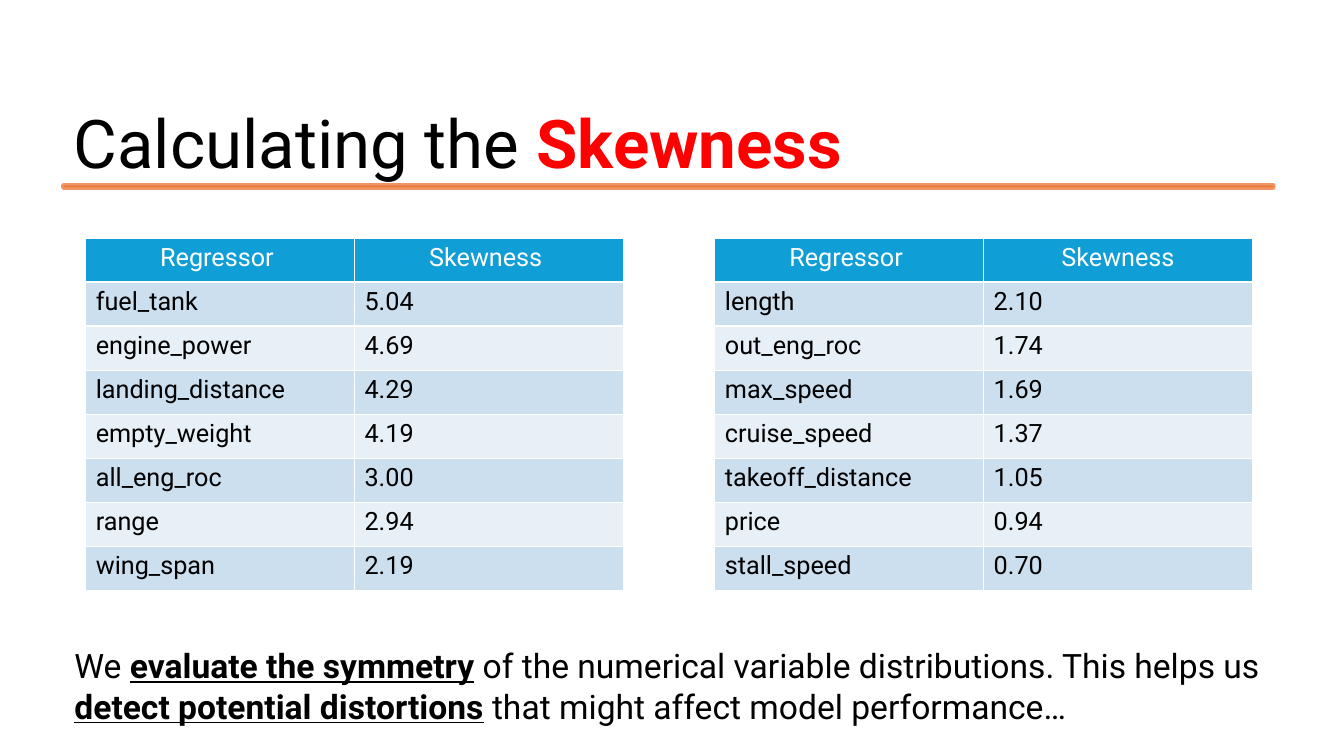
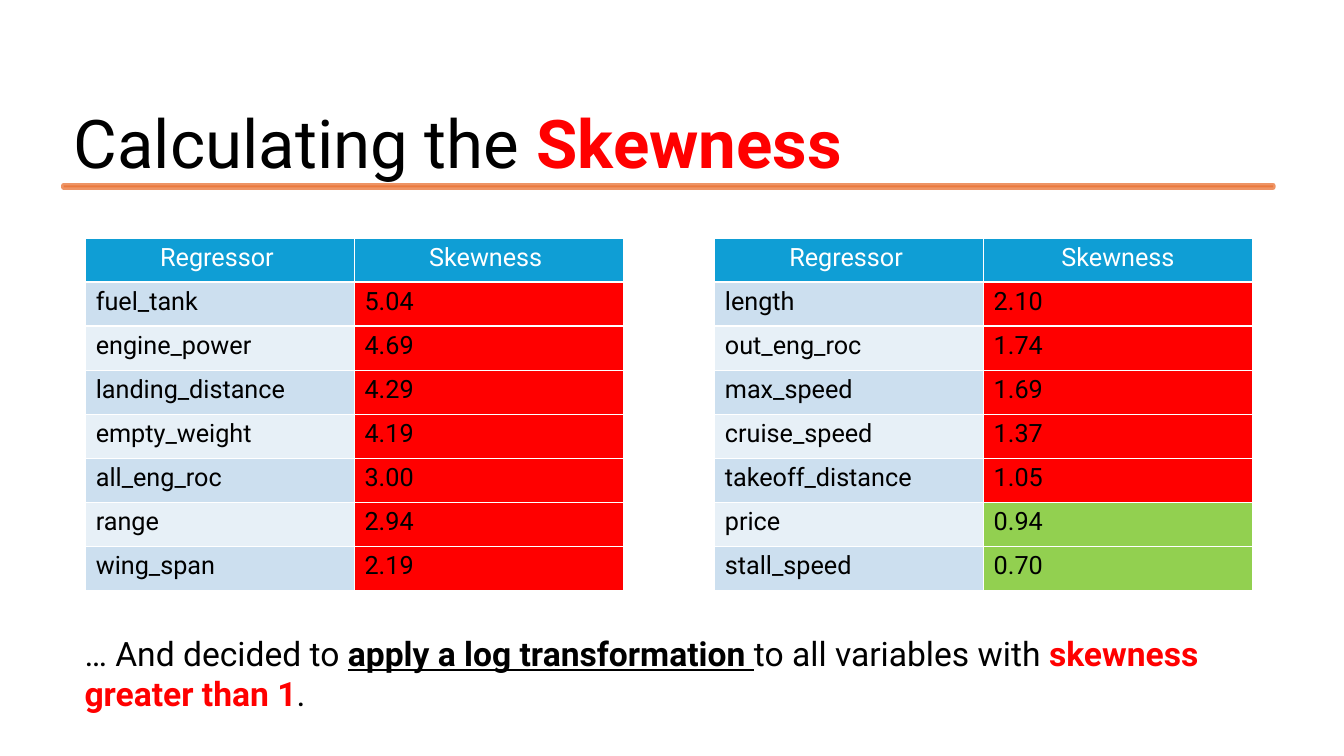
"""Build two slides on the skewness of the regressors."""
from dataclasses import dataclass

from lxml import etree
from pptx import Presentation
from pptx.dml.color import RGBColor
from pptx.enum.shapes import MSO_SHAPE
from pptx.enum.text import MSO_ANCHOR, MSO_AUTO_SIZE, PP_ALIGN
from pptx.oxml.ns import qn
from pptx.util import Inches, Pt

RECT = MSO_SHAPE.RECTANGLE
TOP = MSO_ANCHOR.TOP
FIXED = MSO_AUTO_SIZE.NONE
LEFT, CENTER = PP_ALIGN.LEFT, PP_ALIGN.CENTER


@dataclass(frozen=True)
class Theme:
    font: str = "Roboto"
    black: str = "000000"
    white: str = "FFFFFF"
    red: str = "FF0000"
    green: str = "92D050"
    orange: str = "E97132"
    head: str = "0F9ED5"
    bands: tuple = ("CCDFEF", "E7F0F7")
    title: int = 48
    body: int = 24
    cell: int = 18
    rule: float = 3.5
    alpha: str = "75000"


theme = Theme()
deck = Presentation()
deck.slide_width, deck.slide_height = Inches(13.33), Inches(7.5)
col, row = deck.slide_width / 100, deck.slide_height / 100


def area(x, y, w, h):
    """Turn percentages of the slide into lengths."""
    return int(x * col), int(y * row), int(w * col), int(h * row)


def write(frame, parts, size, color=theme.black, align=LEFT):
    """Fill a frame with one paragraph of (text, style, color) parts."""
    frame.word_wrap = True
    line = frame.paragraphs[0]
    line.alignment = align
    font = line.font
    font.name, font.size, font.bold = theme.font, Pt(size), False
    font.color.rgb = RGBColor.from_string(color)
    for text, style, tint in parts:
        run = line.add_run()
        run.text = text
        if style:
            run.font.bold = "b" in style
            run.font.underline = "u" in style
        if tint:
            run.font.color.rgb = RGBColor.from_string(tint)


tables = [
    (6.38, [
        ("Regressor ", "Skewness "),
        ("fuel_tank", "5.04"),
        ("engine_power", "4.69"),
        ("landing_distance", "4.29"),
        ("empty_weight", "4.19"),
        ("all_eng_roc", "3.00"),
        ("range", "2.94"),
        ("wing_span", "2.19"),
    ]),
    (53.19, [
        ("Regressor ", "Skewness"),
        ("length", "2.10"),
        ("out_eng_roc", "1.74"),
        ("max_speed", "1.69"),
        ("cruise_speed", "1.37"),
        ("takeoff_distance", "1.05"),
        ("price", "0.94"),
        ("stall_speed", "0.70"),
    ]),
]
pages = [
    (False, (4.8, 84.67), [
        ("We ", "", None),
        ("evaluate the symmetry", "bu", None),
        (" of the numerical variable distributions. This helps us ", "", None),
        ("detect potential distortions", "bu", None),
        (" that might affect model performance…", "", None),
    ]),
    (True, (5.55, 83.07), [
        ("… And decided to ", "", None),
        ("apply a log transformation ", "bu", None),
        ("to all variables with ", "", None),
        ("skewness greater than 1", "b", theme.red),
        (".", "", None),
    ]),
]

for marked, (x, y), note in pages:
    slide = deck.slides.add_slide(deck.slide_layouts[5])

    title = slide.shapes.title
    title.left, title.top, title.width, title.height = area(4.73, 12.8, 92.35, 12.13)
    title.text_frame.auto_size = FIXED
    title.text_frame.vertical_anchor = TOP
    write(title.text_frame,
          [("Calculating the ", "", None), ("Skewness", "b", theme.red)],
          theme.title)

    rule = slide.shapes.add_shape(RECT, *area(4.73, 24.53, 90, 0.27))
    rule.shadow.inherit = False
    rule.fill.solid()
    rule.fill.fore_color.rgb = RGBColor.from_string(theme.orange)
    rule.line.color.rgb = RGBColor.from_string(theme.orange)
    rule.line.width = Pt(theme.rule)
    for paint in rule.element.iter(qn("a:srgbClr")):
        etree.SubElement(paint, qn("a:alpha")).set("val", theme.alpha)

    for start, data in tables:
        grid = slide.shapes.add_table(
            len(data), len(data[0]), *area(start, 31.47, 40, 46.67)).table
        for r, pair in enumerate(data):
            for c, text in enumerate(pair):
                cell = grid.cell(r, c)
                fill = theme.bands[(r - 1) % 2] if r else theme.head
                if marked and r and c:
                    fill = theme.red if float(text) > 1 else theme.green
                cell.fill.solid()
                cell.fill.fore_color.rgb = RGBColor.from_string(fill)
                write(cell.text_frame, [(text, "", None)], theme.cell,
                      theme.black if r else theme.white,
                      LEFT if r else CENTER)

    box = slide.shapes.add_textbox(*area(x, y, 89.8, 12.13))
    write(box.text_frame, note, theme.body)

deck.save("out.pptx")
